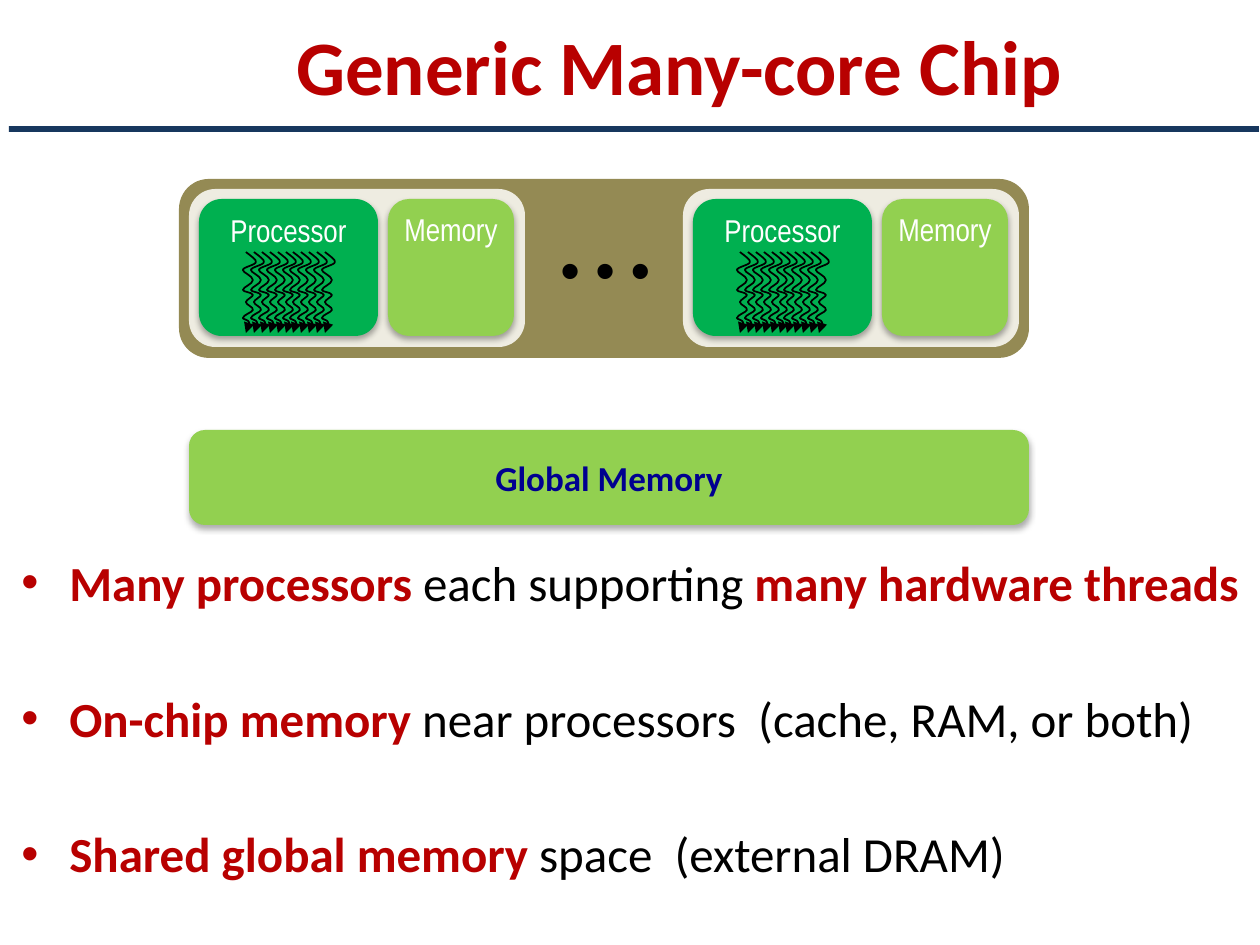
from pptx import Presentation
from pptx.dml.color import RGBColor as Rgb
from pptx.enum.shapes import MSO_SHAPE as Kind
from pptx.enum.text import MSO_ANCHOR as Anchor, PP_ALIGN as Align
from pptx.oxml import parse_xml
from pptx.oxml.ns import nsdecls, qn
from pptx.util import Pt

UNIT = 914400 / 126
HEX = {
    "red": "B80000", "navy": "17375E", "blue": "000090", "black": "000000",
    "white": "FFFFFF", "olive": "948A54", "cream": "EEECE1",
    "green": "00B050", "lime": "92D050",
}
TITLE = "Generic Many-core Chip"
POINTS = [
    [("Many processors ", True), ("each supporting ", False),
     ("many hardware threads", True)],
    [("On-chip memory ", True),
     ("near processors  (cache, RAM, or both)", False)],
    [("Shared global memory ", True), ("space  (external DRAM)", False)],
]
PARTS = [("Processor", 10, 179, "green"), ("Memory", 199, 126, "lime")]
CORES = [189, 683]
THREADS = 11
START = (4, 0)
WAVE = [
    (9, 4), (15, 8), (14, 10), (14, 13), (1, 15), (1, 18),
    (0, 20), (11, 24), (11, 28), (11, 32), (1, 35), (1, 38),
    (1, 40), (10, 40), (11, 43), (12, 44), (4, 48), (4, 50),
    (4, 53), (12, 55), (11, 58), (11, 60), (1, 63), (1, 66),
    (0, 67), (7, 68), (7, 70), (8, 73), (3, 78), (4, 81),
]


def px(n):
    return round(n * UNIT)


def tint(name):
    return Rgb.from_string(HEX[name])


def write(para, text, size, color, face="Calibri", bold=False):
    run = para.add_run()
    run.text = text
    run.font.size = Pt(size)
    run.font.name = face
    run.font.bold = bold
    run.font.color.rgb = tint(color)


def block(slide, box, fill, kind=Kind.ROUNDED_RECTANGLE):
    shape = slide.shapes.add_shape(kind, *map(px, box))
    shape.shadow.inherit = False
    shape.fill.solid()
    shape.fill.fore_color.rgb = tint(fill)
    shape.line.fill.background()
    return shape


def label(slide, box, fill, text, anchor, **style):
    shape = block(slide, box, fill)
    effect = shape._element.spPr.find(qn("a:effectLst"))
    effect.append(parse_xml(
        f'<a:outerShdw {nsdecls("a")} blurRad="{Pt(3.5)}" dist="{Pt(2.2)}" '
        'dir="5400000" rotWithShape="0"><a:srgbClr val="000000">'
        '<a:alpha val="32000"/></a:srgbClr></a:outerShdw>'))
    frame = shape.text_frame
    frame.word_wrap = True
    frame.vertical_anchor = anchor
    frame.margin_left = frame.margin_right = px(9)
    frame.margin_top = frame.margin_bottom = px(5)
    para = frame.paragraphs[0]
    para.alignment = Align.CENTER
    write(para, text, **style)


def textbox(slide, box, wrap=True):
    frame = slide.shapes.add_textbox(*map(px, box)).text_frame
    frame.word_wrap = wrap
    return frame


def thread(slide, left, top):
    pen = slide.shapes.build_freeform(*START, scale=UNIT)
    pen.add_line_segments(WAVE, close=False)
    shape = pen.convert_to_shape(px(left), px(top))
    shape.shadow.inherit = False
    shape.fill.background()
    shape.line.color.rgb = tint("black")
    shape.line.width = Pt(1)
    shape.line._get_or_add_ln().append(
        parse_xml(f'<a:tailEnd {nsdecls("a")} type="triangle"/>'))
    route = next(shape._element.iter(qn("a:path")))
    steps = route.findall(qn("a:lnTo"))
    for i in range(0, len(steps), 3):
        curve = parse_xml(f'<a:cubicBezTo {nsdecls("a")}/>')
        for step in steps[i:i + 3]:
            curve.append(step[0])
            route.remove(step)
        route.append(curve)


def core(slide, left):
    block(slide, (left, 189, 336, 158), "cream")
    for text, shift, width, fill in PARTS:
        label(slide, (left + shift, 199, width, 137), fill, text, Anchor.TOP,
              size=18, color="white", face="Arial Narrow")
    for i in range(THREADS):
        thread(slide, left + 53 + round(i * 7.9), 252)


def bullets(slide):
    frame = textbox(slide, (9, 546, 1250, 399))
    for i, runs in enumerate(POINTS):
        para = frame.paragraphs[0] if i == 0 else frame.add_paragraph()
        props = para._p.get_or_add_pPr()
        props.set("marL", str(px(48)))
        props.set("indent", str(-px(48)))
        props.append(parse_xml(f'<a:buFont {nsdecls("a")} typeface="Arial"/>'))
        props.append(parse_xml(f'<a:buChar {nsdecls("a")} char="•"/>'))
        if i:
            para.space_before = Pt(44)
        for text, strong in runs:
            write(para, text, 28, "red" if strong else "black", bold=strong)


def main():
    deck = Presentation()
    deck.slide_width, deck.slide_height = px(1260), px(945)
    slide = deck.slides.add_slide(deck.slide_layouts[6])

    block(slide, (179, 179, 850, 179), "olive")
    dots = textbox(slide, (548, 228, 116, 81), wrap=False)
    write(dots.paragraphs[0], "• • •", 32, "black", "Arial")
    for left in CORES:
        core(slide, left)
    label(slide, (189, 430, 840, 95), "lime", "Global Memory", Anchor.MIDDLE,
          size=20, color="blue", bold=True)

    head = textbox(slide, (95, 1, 1169, 128))
    head.vertical_anchor = Anchor.MIDDLE
    head.paragraphs[0].alignment = Align.CENTER
    write(head.paragraphs[0], TITLE, 44, "red", bold=True)
    bullets(slide)
    block(slide, (9, 126, 1250, 6), "navy", Kind.RECTANGLE)
    deck.save("out.pptx")


if __name__ == "__main__":
    main()
